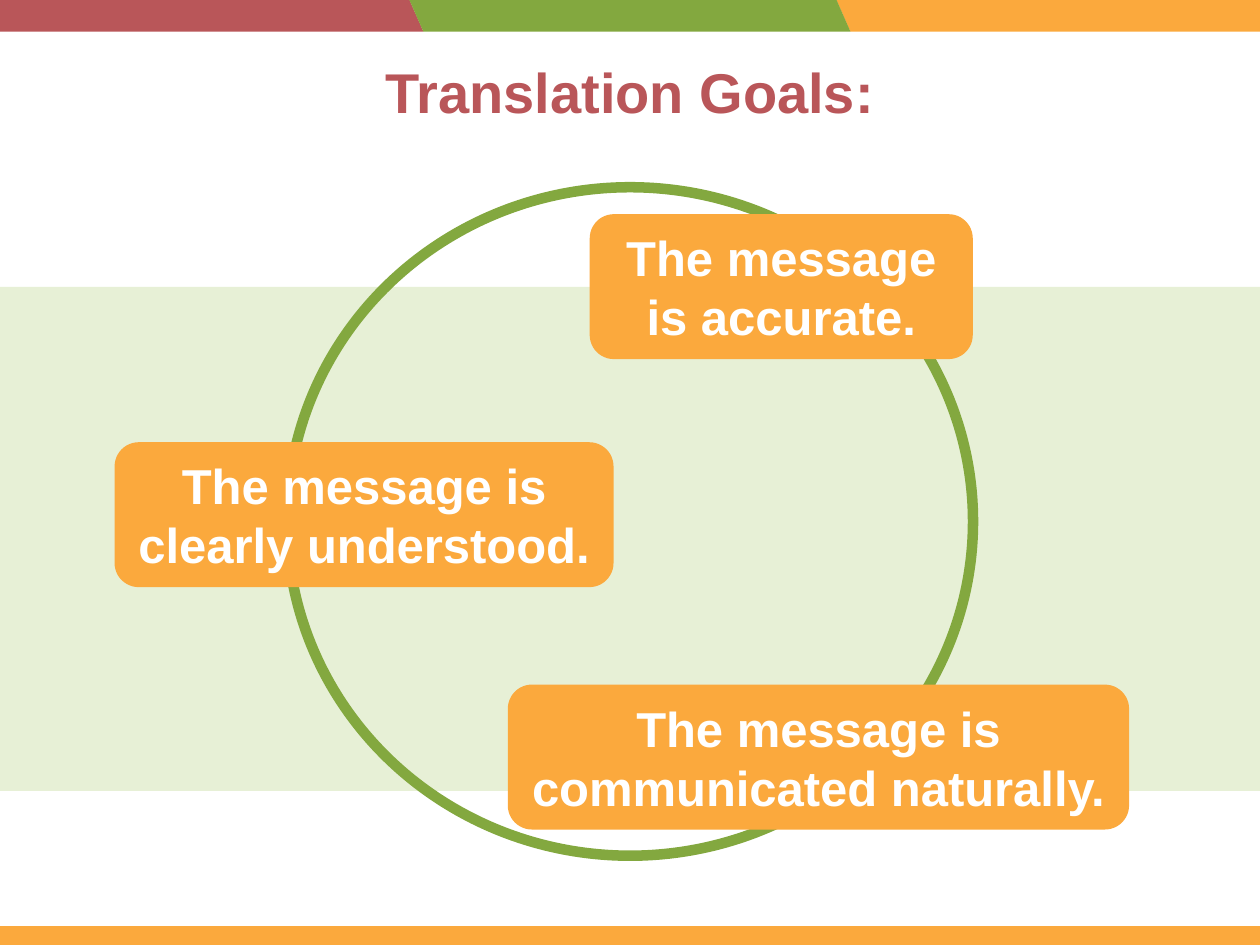
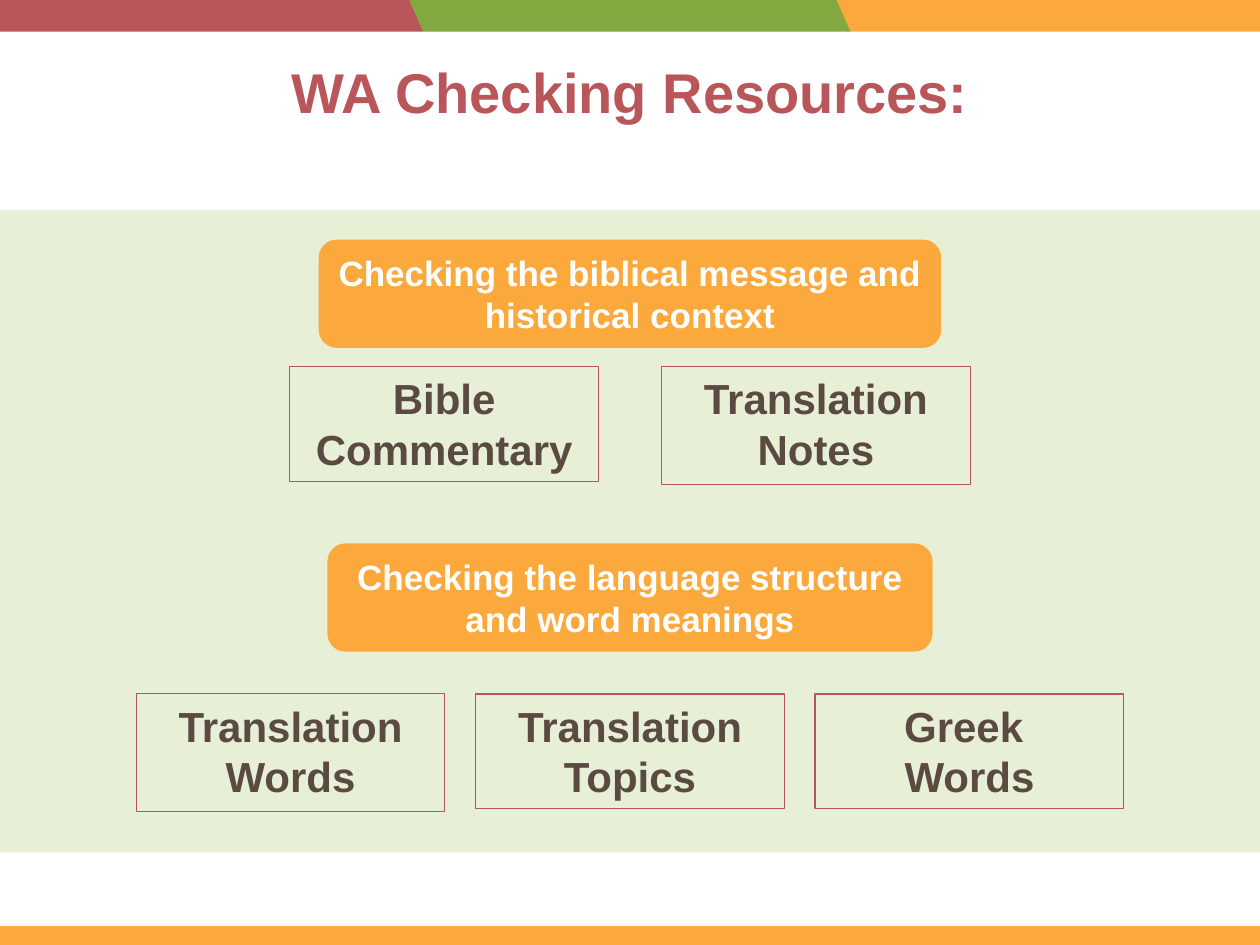
from dataclasses import dataclass

from pptx import Presentation
from pptx.dml.color import RGBColor
from pptx.enum.shapes import MSO_SHAPE
from pptx.enum.text import MSO_ANCHOR, PP_ALIGN
from pptx.shapes.autoshape import Shape
from pptx.slide import Slide
from pptx.util import Pt

RED, GREEN, ORANGE = "B95659", "83A83F", "FBA93D"
PALE, BROWN, WHITE = "E7F0D6", "5B4A42", "FFFFFF"
FONT = "Arial"
WIDE, HIGH = 720, 540
CARD = 176.4


@dataclass
class Area:
    left: float
    top: float
    width: float
    height: float


@dataclass
class Label:
    text: str
    area: Area


@dataclass
class Card:
    text: str
    height: float = 65.5


@dataclass
class Topic:
    title: str
    top: float
    width: float
    row: float
    pitch: float
    cards: list[Card]


GOALS = [
    Label("The message is accurate.", Area(337, 122.4, 218.9, 82.8)),
    Label("The message is clearly understood.", Area(65.5, 252.7, 285.1, 82.8)),
    Label("The message is communicated naturally.", Area(290.2, 391.2, 355, 82.8)),
]
TOPICS = [
    Topic("Checking the biblical message and historical context",
          136.9, 355.7, 209.5, 212.4,
          [Card("Bible Commentary"), Card("Translation Notes", 67.3)]),
    Topic("Checking the language structure and word meanings",
          310.5, 345.8, 396.5, 194,
          [Card("Translation Words", 67.3), Card("Translation Topics"),
           Card("Greek \nWords")]),
]


def paint(code: str) -> RGBColor:
    return RGBColor.from_string(code)


def draw(slide: Slide, kind: MSO_SHAPE, area: Area, fill: str = "",
         line: str = "", weight: float = 0) -> Shape:
    shape = slide.shapes.add_shape(
        kind, Pt(area.left), Pt(area.top), Pt(area.width), Pt(area.height))
    shape.shadow.inherit = False
    if fill:
        shape.fill.solid()
        shape.fill.fore_color.rgb = paint(fill)
    else:
        shape.fill.background()
    if line:
        shape.line.color.rgb = paint(line)
        shape.line.width = Pt(weight)
    else:
        shape.line.fill.background()
    return shape


def write(shape: Shape, text: str, size: float, color: str,
          anchor: MSO_ANCHOR = MSO_ANCHOR.TOP) -> None:
    frame = shape.text_frame
    frame.text = text
    frame.word_wrap = True
    frame.vertical_anchor = anchor
    for para in frame.paragraphs:
        para.alignment = PP_ALIGN.CENTER
        for run in para.runs:
            run.font.name = FONT
            run.font.size = Pt(size)
            run.font.bold = True
            run.font.color.rgb = paint(color)


def pill(slide: Slide, label: Label, size: float) -> None:
    shape = draw(slide, MSO_SHAPE.ROUNDED_RECTANGLE, label.area, ORANGE)
    write(shape, label.text, size, WHITE, MSO_ANCHOR.MIDDLE)


def start(deck: Presentation, title: str, panel: Area) -> Slide:
    slide = deck.slides.add_slide(deck.slide_layouts[6])
    for place, color in ((2, ORANGE), (0, RED), (1, GREEN)):
        band = draw(slide, MSO_SHAPE.PARALLELOGRAM,
                    Area(-10 + 244 * place, 0, 252, 18), color)
        band.adjustments[0] = 0.44
        band.element.spPr.xfrm.set("flipH", "1")
    draw(slide, MSO_SHAPE.RECTANGLE, Area(0, 529.2, WIDE, 10.8), ORANGE)
    draw(slide, MSO_SHAPE.RECTANGLE, panel, PALE)
    box = slide.shapes.add_textbox(Pt(119.5), Pt(29.5), Pt(481), Pt(46))
    write(box, title, 32, RED)
    return slide


def goals(deck: Presentation) -> None:
    slide = start(deck, "Translation Goals:", Area(0, 164, WIDE, 288))
    draw(slide, MSO_SHAPE.OVAL, Area(164, 107, 392, 382), line=GREEN, weight=6)
    for goal in GOALS:
        pill(slide, goal, 28)


def tools(deck: Presentation) -> None:
    slide = start(deck, "WA Checking Resources:", Area(0, 120, WIDE, 367.2))
    for topic in TOPICS:
        left = (WIDE - topic.width) / 2
        pill(slide, Label(topic.title, Area(left, topic.top, topic.width, 61.9)), 20)
        first = (WIDE - CARD - topic.pitch * (len(topic.cards) - 1)) / 2
        for place, card in enumerate(topic.cards):
            area = Area(first + topic.pitch * place, topic.row, CARD, card.height)
            shape = draw(slide, MSO_SHAPE.RECTANGLE, area, line=RED, weight=0.75)
            write(shape, card.text, 24, BROWN)


def main() -> None:
    deck = Presentation()
    deck.slide_width, deck.slide_height = Pt(WIDE), Pt(HIGH)
    goals(deck)
    tools(deck)
    deck.save("out.pptx")


if __name__ == "__main__":
    main()
